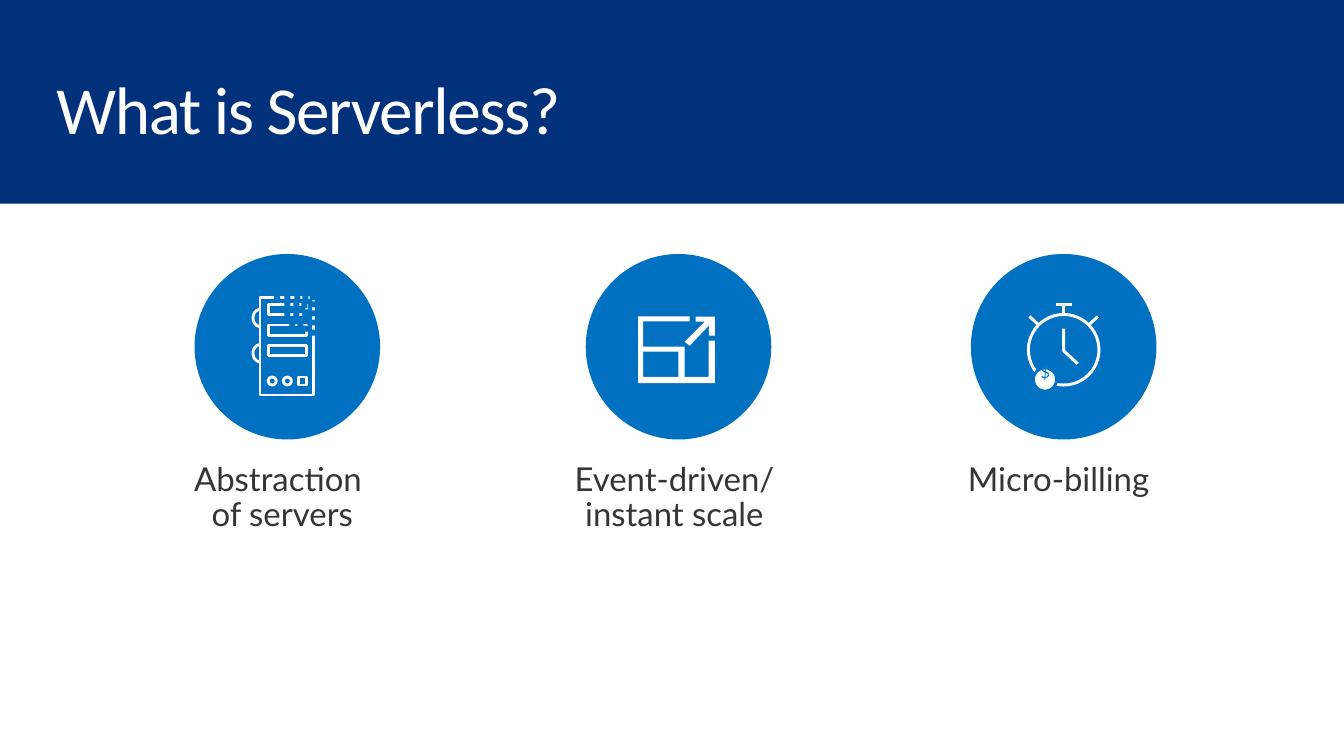
from math import cos, pi, sin

from lxml.etree import SubElement
from pptx import Presentation
from pptx.dml.color import RGBColor
from pptx.enum.shapes import MSO_CONNECTOR, MSO_SHAPE
from pptx.enum.text import MSO_ANCHOR, MSO_AUTO_SIZE, PP_ALIGN
from pptx.oxml.ns import qn
from pptx.util import Inches, Pt

COLORS = {"navy": "00317A", "disc": "0070C0", "white": "FFFFFF",
          "caption": "353535", "dollar": "0078D7"}
SLIDE_W, SLIDE_H = 13.33, 7.5
DISC_TOP, DISC_SIZE = 2.52, 184
CAPTION_TOP = 4.43
UNIT = 0.01  # icon grid step in inches, counted from the disc's corner


def rgb(name):
    return RGBColor.from_string(COLORS[name])


def set_all(target, values):
    for name, value in values.items():
        setattr(target, name, value)


def paint(shape, fill=None, line=None, weight=2):
    shape.shadow.inherit = False
    if fill:
        shape.fill.solid()
        shape.fill.fore_color.rgb = rgb(fill)
    else:
        shape.fill.background()
    if line:
        shape.line.color.rgb = rgb(line)
        shape.line.width = Pt(weight)
    else:
        shape.line.fill.background()


def write(box, text, font, frame, paragraph):
    set_all(box.text_frame, frame)
    box.text_frame.text = text
    line = box.text_frame.paragraphs[0]
    set_all(line, {"line_spacing": 0.9, **paragraph})
    color = font.pop("color")
    for run in line.runs:
        set_all(run.font, font)
        run.font.color.rgb = rgb(color)


def add_label(slide, text, box, size, color, left_inset=0.1, wrap=True, align=PP_ALIGN.CENTER):
    label = slide.shapes.add_textbox(*map(Inches, box))
    frame = {"word_wrap": wrap, "auto_size": MSO_AUTO_SIZE.SHAPE_TO_FIT_TEXT,
             "margin_left": Inches(left_inset), "margin_right": Inches(0.2),
             "margin_top": Inches(0.16), "margin_bottom": Inches(0.16)}
    write(label, text, {"name": "Lato", "size": Pt(size), "color": color},
          frame, {"alignment": align, "space_after": Pt(5.9)})


class Badge:
    """A blue disc whose icon is drawn on a grid starting at its corner."""

    def __init__(self, slide, left):
        self.left = left
        self.shapes = slide.shapes.add_group_shape().shapes
        self.preset(MSO_SHAPE.OVAL, 0, 0, DISC_SIZE, DISC_SIZE, fill="disc")

    def point(self, x, y):
        return Inches(self.left + x * UNIT), Inches(DISC_TOP + y * UNIT)

    def preset(self, kind, x, y, width, height, **look):
        shape = self.shapes.add_shape(kind, *self.point(x, y),
                                      Inches(width * UNIT), Inches(height * UNIT))
        paint(shape, **look)

    def outline(self, contours, close=True, **look):
        first, *others = [[self.point(*p) for p in c] for c in contours]
        builder = self.shapes.build_freeform(*first[0], scale=1.0)
        builder.add_line_segments(first[1:], close=close)
        for contour in others:
            builder.move_to(*contour[0])
            builder.add_line_segments(contour[1:], close=close)
        paint(builder.convert_to_shape(), **look)

    def stroke(self, start, end, weight):
        line = self.shapes.add_connector(MSO_CONNECTOR.STRAIGHT,
                                         *self.point(*start), *self.point(*end))
        line.line.color.rgb = rgb("white")
        line.line.width = Pt(weight)
        SubElement(line.element.spPr, qn("a:effectLst"))


def draw_server(badge):
    # Case, slots, handles and buttons
    badge.preset(MSO_SHAPE.RECTANGLE, 65, 43, 53, 97, line="white")
    for row in range(3):
        badge.preset(MSO_SHAPE.RECTANGLE, 73, 50 + 20.5 * row, 38, 10, line="white")
    for middle in (63.5, 98.5):
        turns = [pi * step / 16 for step in range(17)]
        arc = [(65 - 7 * sin(t), middle + 8.5 * cos(t)) for t in turns]
        badge.outline([arc], close=False, line="white")
    for column, kind in enumerate((MSO_SHAPE.OVAL, MSO_SHAPE.OVAL, MSO_SHAPE.RECTANGLE)):
        badge.preset(kind, 73 + 15 * column, 122, 8, 8, line="white")
    # Gaps that dissolve the upper right corner
    gaps = [(79, 40), (89, 39), (99, 40), (107, 39), (114, 40),
            (89, 46), (98, 46), (106, 48), (116, 47),
            (89, 58), (98, 57), (107, 55), (107, 57), (116, 56),
            (94, 68), (102, 68), (107, 71), (115, 65), (115, 75)]
    for x, y in gaps:
        badge.preset(MSO_SHAPE.RECTANGLE, x, y, 6, 6, fill="disc")


def draw_scale(badge):
    frame = [(122, 122), (98, 122), (98, 92), (57, 92), (57, 67), (103, 67),
             (103, 62), (52, 62), (52, 128), (128, 128), (128, 86), (122, 86)]
    window = [(57, 97), (92, 97), (92, 122), (57, 122)]
    arrow = [(109, 67), (118, 67), (98, 87), (103, 91), (122, 71),
             (122, 81), (128, 81), (128, 62), (109, 62)]
    badge.outline([frame, window], fill="white")
    badge.outline([arrow], fill="white")


def draw_stopwatch(badge):
    weight = 2.13
    badge.outline([[(92, 74), (92, 96), (106, 109)]], close=False, line="white", weight=weight)
    badge.preset(MSO_SHAPE.OVAL, 57, 60, 70, 70, line="white", weight=weight)
    # Crown and side buttons
    for start, end in (((84, 50), (100, 50)), ((92, 60), (92, 50)),
                       ((126, 62), (116, 71)), ((58, 62), (68, 71))):
        badge.stroke(start, end, weight)
    # Coin
    badge.preset(MSO_SHAPE.OVAL, 62, 113, 23, 23, fill="white", line="disc")


def add_header(slide):
    band = slide.shapes.add_shape(MSO_SHAPE.RECTANGLE, 0, 0, Inches(SLIDE_W), Inches(2.02))
    paint(band, fill="navy")
    title = slide.shapes.title
    set_all(title, {"left": Inches(0.46), "top": Inches(0.71),
                    "width": Inches(12.75), "height": Inches(0.59)})
    write(title, "What is Serverless?",
          {"name": "Calibri", "size": Pt(48), "color": "white"},
          {"vertical_anchor": MSO_ANCHOR.TOP, "auto_size": MSO_AUTO_SIZE.NONE,
           "word_wrap": True},
          {"alignment": PP_ALIGN.LEFT})
    title.text_frame.paragraphs[0].runs[0].font._element.set("spc", "-100")
    band.element.addnext(title.element)  # title in front of the band


def main():
    deck = Presentation()
    set_all(deck, {"slide_width": Inches(SLIDE_W), "slide_height": Inches(SLIDE_H)})
    slide = deck.slides.add_slide(deck.slide_layouts[5])

    # Disc left, icon, caption, caption left, width and height
    benefits = [
        (1.93, draw_server, "Abstraction \vof servers", 1.44, 2.82, 1.05),
        (5.81, draw_scale, "Event-driven/ instant scale", 5.28, 2.92, 1.05),
        (9.63, draw_stopwatch, "Micro-billing", 9.21, 2.68, 0.69),
    ]
    for disc_left, draw_icon, caption, left, width, height in benefits:
        draw_icon(Badge(slide, disc_left))
        add_label(slide, caption, (left, CAPTION_TOP, width, height), 23.5, "caption")
    add_label(slide, "$", (10.12, 3.53, 0.49, 0.49), 11.7, "dollar",
              left_inset=0.2, wrap=False, align=PP_ALIGN.LEFT)

    add_header(slide)
    deck.save("out.pptx")


if __name__ == "__main__":
    main()
